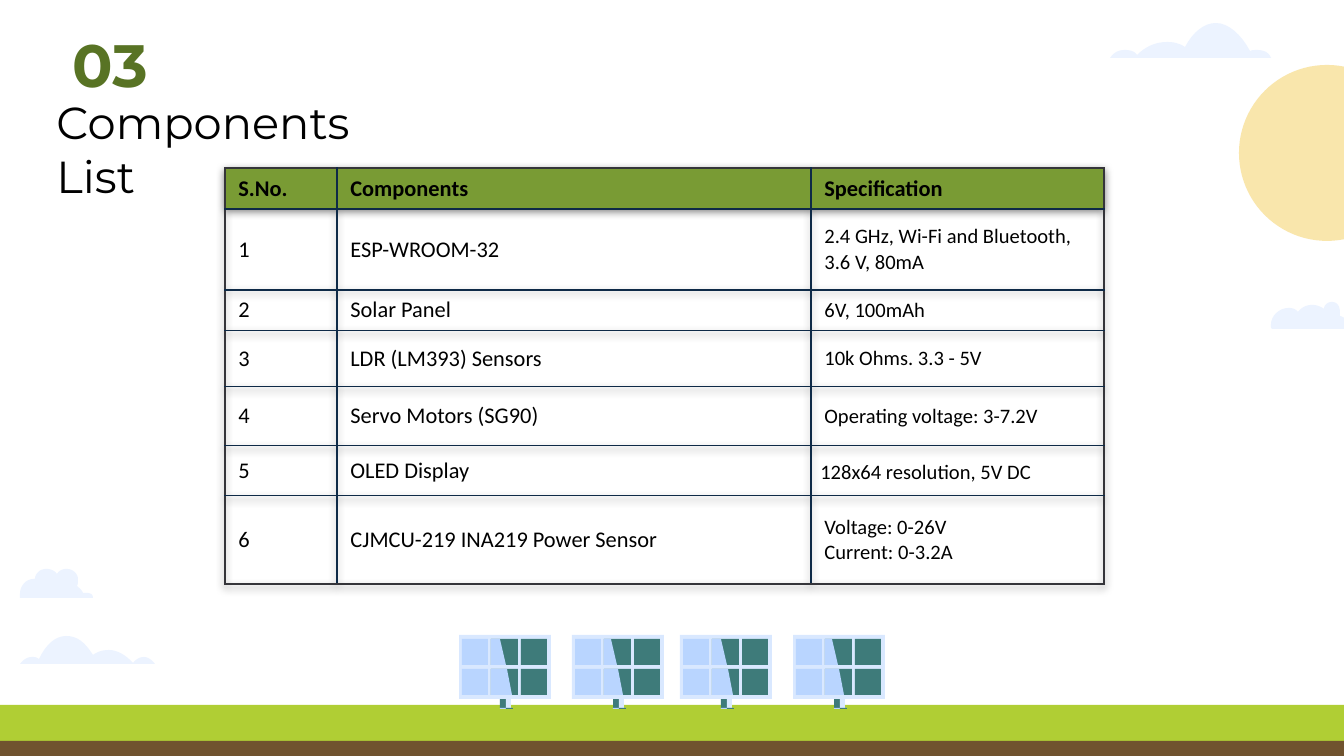
import pptx
import pptx.util
import pptx.dml.color
import pptx.enum.shapes
import pptx.enum.text
import pptx.oxml
import pptx.oxml.ns

PX = 9144000 / 1344
NS = pptx.oxml.ns.nsdecls("a")
SHAPE = pptx.enum.shapes.MSO_SHAPE
ANCHOR = pptx.enum.text.MSO_ANCHOR


def emu(*values):
    return [pptx.util.Emu(round(v * PX)) for v in values]


def paint(target, color):
    target.fill.solid()
    target.fill.fore_color.rgb = pptx.dml.color.RGBColor.from_string(color)


prs = pptx.Presentation()
prs.slide_width, prs.slide_height = emu(1344, 756)
s = prs.slides.add_slide(prs.slide_layouts[5])

for box, color in [((-5, 705, 1357, 57), "B0CE34"), ((-5, 741, 1357, 20), "70532F")]:
    sp = s.shapes.add_shape(SHAPE.RECTANGLE, *emu(*box))
    paint(sp, color)

clouds = [
    [(66, 636), (56, 636, 46, 644, 39, 659), (36, 657, 35, 657, 32, 657),
     (27, 657, 23, 660, 20, 664), (155, 664), (152, 660, 148, 657, 144, 657),
     (140, 657, 136, 659, 133, 663), (126, 655, 117, 650, 109, 650),
     (102, 650, 97, 652, 93, 655), (85, 642, 77, 636, 66, 636)],
    [(1216, 23), (1204, 23, 1193, 32, 1185, 47), (1179, 43, 1173, 42, 1167, 42),
     (1155, 42, 1145, 47, 1137, 55), (1135, 51, 1129, 50, 1125, 50),
     (1119, 50, 1114, 52, 1110, 58), (1271, 58), (1269, 52, 1263, 50, 1257, 50),
     (1254, 50, 1252, 50, 1250, 51), (1241, 34, 1228, 23, 1216, 23)],
    [(1332, 302), (1328, 302, 1324, 305, 1324, 309), (1320, 306, 1316, 305, 1312, 305),
     (1306, 305, 1301, 308, 1298, 312), (1296, 309, 1292, 308, 1289, 308),
     (1279, 308, 1271, 316, 1271, 325), (1271, 327, 1271, 328, 1272, 329), (1362, 329),
     (1360, 327, 1357, 324, 1353, 324), (1352, 324, 1350, 324, 1348, 324),
     (1347, 320, 1344, 317, 1340, 316), (1340, 314, 1340, 313, 1340, 312),
     (1340, 306, 1337, 302, 1332, 302)],
    [(46, 569), (40, 569, 35, 574, 35, 579), (34, 579), (26, 579, 20, 586, 20, 594),
     (20, 595, 20, 597, 20, 598), (93, 598), (93, 594, 90, 593, 86, 593),
     (85, 593, 85, 593, 83, 593), (82, 590, 79, 588, 77, 586),
     (78, 585, 78, 582, 78, 579), (78, 574, 73, 569, 67, 569),
     (62, 569, 59, 571, 57, 574), (55, 571, 51, 569, 46, 569)],
]
for start, *segments in clouds:
    points = [start]
    for seg in segments:
        if len(seg) == 2:
            points.append(seg)
            continue
        x0, y0 = points[-1]
        x1, y1, x2, y2, x3, y3 = seg
        for step in range(1, 9):
            t = step / 8
            a, b, c, d = (1 - t) ** 3, 3 * t * (1 - t) ** 2, 3 * t * t * (1 - t), t ** 3
            points.append((a * x0 + b * x1 + c * x2 + d * x3, a * y0 + b * y1 + c * y2 + d * y3))
    fb = s.shapes.build_freeform(*emu(*start))
    fb.add_line_segments([emu(*pt) for pt in points[1:]])
    sp = fb.convert_to_shape()
    paint(sp, "D9E8FF")
    clr = sp.element.spPr.find(".//" + pptx.oxml.ns.qn("a:srgbClr"))
    clr.append(pptx.oxml.parse_xml(f'<a:alpha {NS} val="49000"/>'))

sp = s.shapes.add_shape(SHAPE.OVAL, *emu(1239, 65, 176, 176))
paint(sp, "F9E6AC")

panel_parts = [
    (41, 689, 10, 19, "3E7B7A"), (47, 689, 5, 19, "D9E8FF"), (0, 635, 92, 64, "D9E8FF"),
    (41, 708, 13, 1, "B9D5FF"), (47, 708, 7, 1, "3E7B7A"),
]
for y in (639, 669):
    for x, w, color in [(3, 26, "B9D5FF"), (32, 27, "3E7B7A"), (62, 26, "3E7B7A")]:
        panel_parts.append((x, y, w, 26, color))
for i, left in enumerate((459, 572, 680, 793)):
    for x, y, w, h, color in panel_parts:
        sp = s.shapes.add_shape(SHAPE.RECTANGLE, *emu(left + x, y, w, h))
        paint(sp, color)
    narrow = 2 * (i % 2)
    for y, top, bottom in [(639, 9, 15), (669, 16, 21)]:
        x = left + 32
        fb = s.shapes.build_freeform(*emu(x, y))
        fb.add_line_segments([emu(x, y + 26), emu(x + bottom - narrow, y + 26),
                              emu(x + top - narrow, y)])
        paint(fb.convert_to_shape(), "B9D5FF")

for sp in s.shapes:
    if not sp.is_placeholder:
        sp.line.fill.background()
        sp.shadow.inherit = False

number = s.shapes.add_textbox(*emu(59, 28, 108, 85))
title = s.shapes.title
title.left, title.top, title.width, title.height = emu(43, 81, 505, 129)
for sp, text, size, color, bold, anchor in [
    (number, "03", 32, "587324", True, ANCHOR.BOTTOM),
    (title, "Components\vList", 24, "000000", False, ANCHOR.TOP),
]:
    tf = sp.text_frame
    tf.text = text
    tf.word_wrap = True
    tf.auto_size = pptx.enum.text.MSO_AUTO_SIZE.NONE
    tf.vertical_anchor = anchor
    tf.margin_left = tf.margin_right = tf.margin_top = tf.margin_bottom = pptx.util.Inches(0.1)
    p = tf.paragraphs[0]
    p.alignment = pptx.enum.text.PP_ALIGN.LEFT
    for r in p.runs:
        r.font.name, r.font.size, r.font.bold = "Montserrat", pptx.util.Pt(size), bold
        paint(r.font, color)

rows = [
    ("S.No.", "Components", "Specification"),
    ("1", "ESP-WROOM-32", "2.4 GHz, Wi-Fi and Bluetooth, 3.6 V, 80mA"),
    ("2", "Solar Panel", "6V, 100mAh"),
    ("3", "LDR (LM393) Sensors", "10k Ohms. 3.3 - 5V"),
    ("4", "Servo Motors (SG90)", "Operating voltage: 3-7.2V"),
    ("5", "OLED Display", "128x64 resolution, 5V DC"),
    ("6", "CJMCU-219 INA219 Power Sensor", "Voltage: 0-26V\nCurrent: 0-3.2A"),
]
table = s.shapes.add_table(7, 3, *emu(225, 168, 879, 416)).table
table.first_row = table.horz_banding = False
table._tbl.tblPr.insert(0, pptx.oxml.parse_xml(
    f'<a:effectLst {NS}><a:outerShdw blurRad="57150" dist="19050" dir="5400000" algn="bl">'
    '<a:srgbClr val="000000"><a:alpha val="50000"/></a:srgbClr></a:outerShdw></a:effectLst>'))
for col, width in zip(table.columns, emu(112, 474, 293)):
    col.width = width
for row, height in zip(table.rows, emu(41, 81, 41, 56, 59, 50, 88)):
    row.height = height
for i, row in enumerate(rows):
    for j, text in enumerate(row):
        cell = table.cell(i, j)
        cell.text_frame.text = text
        cell.vertical_anchor = ANCHOR.MIDDLE
        for p in cell.text_frame.paragraphs:
            font = p.runs[0].font
            font.name, font.bold = "Calibri", i == 0
            font.size = pptx.util.Pt(11 if i and j == 2 else 12)
            paint(font, "000000")
        for side, outer in [("L", j == 0), ("R", j == 2), ("T", i == 0), ("B", i == 6)]:
            color, width = ("35353A", 12700) if outer else ("0E2A47", 9525)
            cell._tc.get_or_add_tcPr().append(pptx.oxml.parse_xml(
                f'<a:ln{side} {NS} w="{width}"><a:solidFill><a:srgbClr val="{color}"/>'
                f'</a:solidFill></a:ln{side}>'))
        if i == 0:
            paint(cell, "799B34")
        else:
            cell.fill.background()
cell = table.cell(5, 2)
cell.margin_left = cell.margin_right = pptx.util.Inches(0.07)
cell.margin_top = cell.margin_bottom = 0
p = cell.text_frame.paragraphs[0]
p.line_spacing = 1.15
p.space_after = pptx.util.Pt(10)

prs.save("out.pptx")
